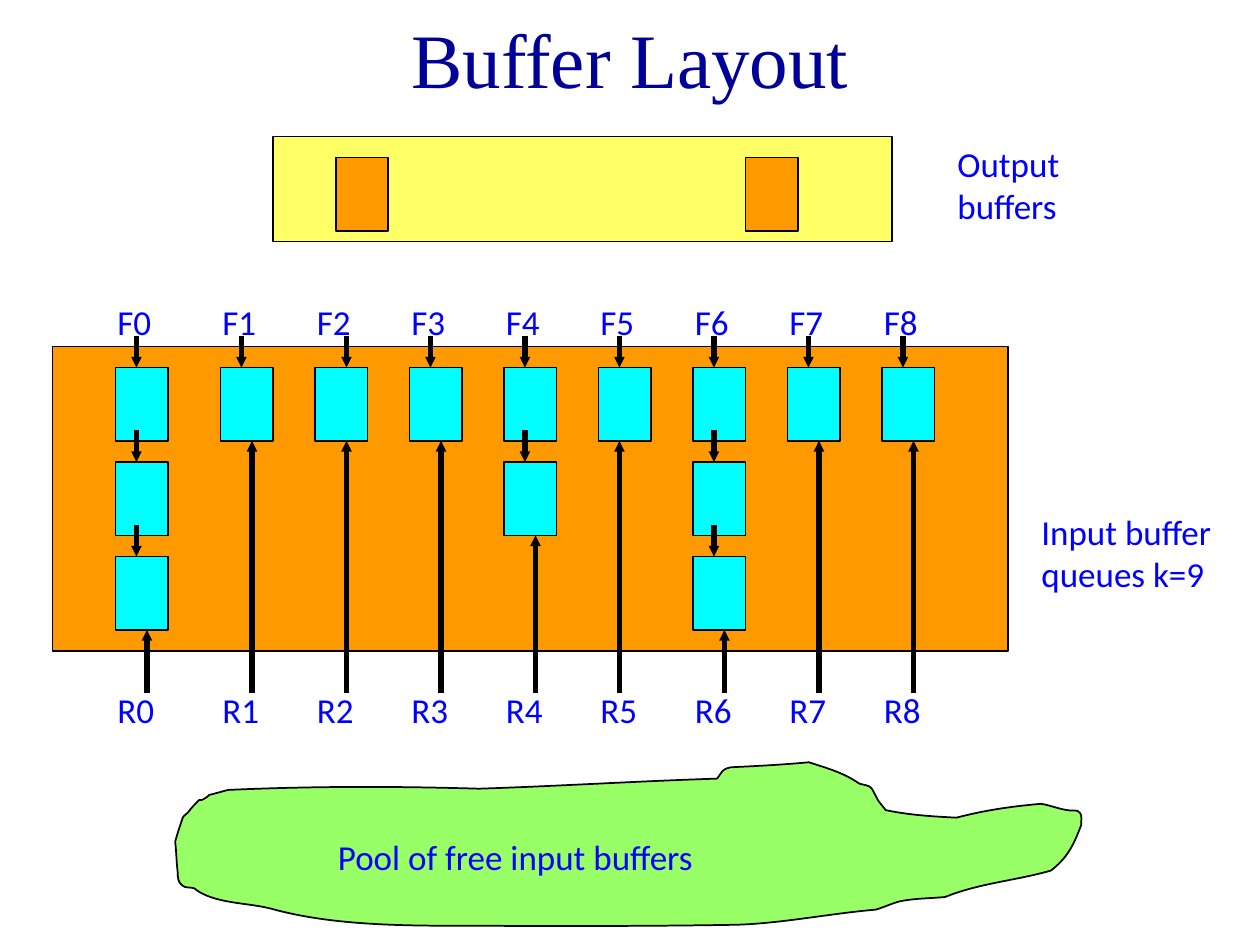
from lxml.etree import SubElement
from pptx import Presentation
from pptx.dml.color import RGBColor
from pptx.enum.shapes import MSO_CONNECTOR as Connector, MSO_SHAPE as Shape
from pptx.enum.text import MSO_ANCHOR as Anchor, PP_ALIGN as Align
from pptx.oxml.ns import qn
from pptx.util import Cm, Pt

BLACK, BLUE, NAVY = "000000", "0000FF", "000099"
YELLOW, ORANGE, CYAN, GREEN = "FFFF66", "FF9900", "00FFFF", "99FF66"

# Grid positions are counted in twelfths of an inch
BUFFER_W, BUFFER_H = 5, 7
FIRST_ROW, ROW_STEP = 35, 9
QUEUE_LEFTS = [11] + [21 + 9 * i for i in range(8)]
QUEUE_LENGTHS = [3, 1, 1, 1, 2, 1, 3, 1, 1]
FRONT_SHIFTS = [2, 2, 3, 2, 2, 2, 2, 2, 2]
REAR_SHIFTS = [3, 3, 3, 3, 3, 2, 3, 3, 3]

# Pool outline in hundredths of an inch: a start, then two handles and an end per curve
POOL_START = (569, 618)
POOL_CURVES = [
    (506, 620, 443, 624, 380, 626), (313, 624, 247, 624, 181, 627),
    (177, 628, 170, 630, 166, 631), (165, 632, 164, 633, 162, 634),
    (161, 635, 160, 635, 158, 635), (155, 638, 152, 641, 149, 645),
    (147, 646, 145, 649, 145, 649), (143, 655, 141, 661, 139, 668),
    (140, 676, 140, 684, 141, 692), (141, 695, 141, 701, 145, 703),
    (147, 705, 151, 704, 154, 705), (170, 718, 198, 716, 218, 722),
    (278, 738, 351, 734, 411, 735), (468, 735, 526, 735, 584, 734),
    (620, 733, 659, 725, 695, 722), (702, 720, 710, 716, 716, 715),
    (727, 713, 739, 713, 750, 712), (777, 701, 806, 699, 834, 691),
    (847, 681, 852, 671, 858, 655), (858, 652, 859, 647, 857, 645),
    (855, 642, 850, 644, 847, 643), (840, 642, 833, 639, 826, 638),
    (803, 640, 782, 643, 759, 649), (740, 648, 722, 647, 703, 643),
    (695, 633, 699, 639, 692, 626), (690, 623, 685, 623, 682, 622),
    (669, 613, 657, 610, 642, 605), (621, 607, 601, 608, 580, 609),
    (572, 611, 574, 612, 569, 618),
]


def grid(*counts):
    return [Cm(count * 2.54 / 12) for count in counts]


def color(hex_code):
    return RGBColor.from_string(hex_code)


def paint(shape, fill):
    shape.shadow.inherit = False
    shape.fill.solid()
    shape.fill.fore_color.rgb = color(fill)
    shape.line.color.rgb = color(BLACK)
    shape.line.width = Pt(1)


def add_box(slide, left, top, width, height, fill):
    box = slide.shapes.add_shape(Shape.RECTANGLE, *grid(left, top, width, height))
    paint(box, fill)


def add_buffer(slide, left, top, fill):
    add_box(slide, left, top, BUFFER_W, BUFFER_H, fill)


def write(paragraph, text, font, size, hex_code):
    run = paragraph.add_run()
    run.text = text
    run.font.name = font
    run.font.size = Pt(size)
    run.font.color.rgb = color(hex_code)


def add_label(slide, text, left, top, width, height=5.16):
    label = slide.shapes.add_textbox(*grid(left, top, width, height))
    label.text_frame.word_wrap = True
    write(label.text_frame.paragraphs[0], text, "Calibri", 20, BLUE)


def add_arrow(slide, x, start, end):
    arrow = slide.shapes.add_connector(Connector.STRAIGHT, *grid(x, start, x, end))
    arrow.line.color.rgb = color(BLACK)
    arrow.line.width = Pt(3)
    SubElement(arrow.line._get_or_add_ln(), qn("a:tailEnd"),
               type="triangle", w="sm", len="sm")
    SubElement(arrow._element.spPr, qn("a:effectLst"))


def add_pool(slide):
    ends = [curve[4:] for curve in POOL_CURVES]
    outline = slide.shapes.build_freeform(*POOL_START, scale=Cm(0.0254))
    outline.add_line_segments(ends, close=True)
    pool = outline.convert_to_shape()
    paint(pool, GREEN)
    # Bend each straight segment by giving it two handles
    left, top = (min(values) for values in zip(*ends))
    segments = list(pool._element.iter(qn("a:lnTo")))
    for segment, (x1, y1, x2, y2, *_) in zip(segments, POOL_CURVES):
        segment.tag = qn("a:cubicBezTo")
        for x, y in ((x2, y2), (x1, y1)):
            handle = SubElement(segment, qn("a:pt"), x=str(x - left), y=str(y - top))
            segment.insert(0, handle)
    add_label(slide, "Pool of free input buffers", 31, 79, 49)


def add_title(slide, text):
    title = slide.shapes.title
    title.left, title.top, title.width, title.height = grid(9, 0, 102, 11)
    title.text_frame.vertical_anchor = Anchor.MIDDLE
    heading = title.text_frame.paragraphs[0]
    heading.alignment = Align.CENTER
    write(heading, text, "Times New Roman", 44, NAVY)


def add_output_buffers(slide):
    add_box(slide, 26, 13, 59, 10, YELLOW)
    for left in (32, 71):
        add_buffer(slide, left, 15, ORANGE)
    add_label(slide, "Output buffers", 90, 13, 20, 9.24)


def add_queue(slide, number, left, length, front_shift, rear_shift):
    add_label(slide, f"F{number}", left - 1, 28, 9)
    add_label(slide, f"R{number}", left - 1, 65, 9)
    tops = [FIRST_ROW + ROW_STEP * row for row in range(length)]
    for top in tops:
        add_buffer(slide, left, top, CYAN)
    # Front pointer, links between buffers, rear pointer
    add_arrow(slide, left + front_shift, 32, FIRST_ROW)
    for top in tops[1:]:
        add_arrow(slide, left + 2, top - 3, top)
    add_arrow(slide, left + rear_shift, 66, tops[-1] + BUFFER_H)


def add_input_queues(slide):
    add_label(slide, "Input buffer queues k=9", 98, 48, 20, 17.16)
    add_box(slide, 5, 33, 91, 29, ORANGE)
    queues = zip(QUEUE_LEFTS, QUEUE_LENGTHS, FRONT_SHIFTS, REAR_SHIFTS)
    for number, queue in enumerate(queues):
        add_queue(slide, number, *queue)


def main():
    deck = Presentation()
    deck.slide_width, deck.slide_height = Cm(25.4), Cm(19.05)
    slide = deck.slides.add_slide(deck.slide_layouts[5])
    add_title(slide, "Buffer Layout")
    add_output_buffers(slide)
    add_input_queues(slide)
    add_pool(slide)
    deck.save("out.pptx")


if __name__ == "__main__":
    main()
